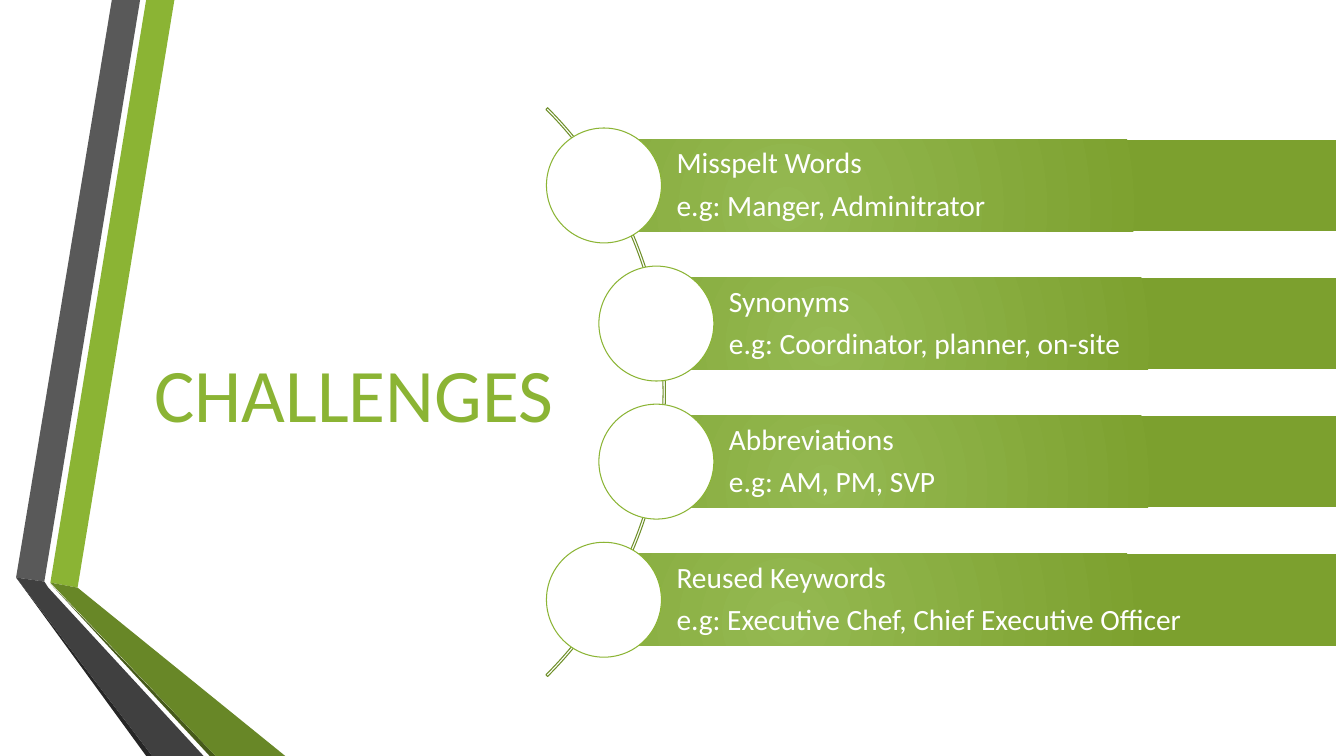
from lxml import etree
from pptx import Presentation
from pptx.dml.color import RGBColor
from pptx.enum.shapes import MSO_SHAPE
from pptx.enum.text import MSO_ANCHOR, PP_ALIGN
from pptx.oxml.ns import qn
from pptx.util import Inches, Pt

FONT = "Calibri"
GREEN, WHITE = "8BB434", "FFFFFF"
ARC_LINE = "6F902A"
BAR_CENTRE, BAR_EDGE = "94B951", "7CA02E"

TITLE = "CHALLENGES"
# circle left, heading, example
CHALLENGES = [
    (5.42, "Misspelt Words", "e.g: Manger, Adminitrator"),
    (5.94, "Synonyms", "e.g: Coordinator, planner, on-site"),
    (5.94, "Abbreviations", "e.g: AM, PM, SVP"),
    (5.42, "Reused Keywords", "e.g: Executive Chef, Chief Executive Officer"),
]
# colour, corner points
RIBBONS = [
    (GREEN, [(0.5, 5.78), (0.77, 5.83), (1.73, 0), (1.45, 0)]),
    ("595959", [(1.39, 0), (1.11, 0), (0.16, 5.73), (0.44, 5.77)]),
    ("262626", [(0.16, 5.73), (1.45, 7.5), (1.51, 7.5)]),
    ("465A1A", [(0.5, 5.79), (2.08, 7.5), (2.14, 7.5)]),
    ("688727", [(0.5, 5.78), (2.14, 7.5), (2.83, 7.5), (0.77, 5.83)]),
    ("404040", [(2.02, 7.5), (0.48, 5.83), (0.44, 5.77), (0.16, 5.73), (1.51, 7.5)]),
]

FIRST_CENTRE, PITCH = 1.84, 1.37
CIRCLE, BAR_HEIGHT, BAR_RIGHT = 1.14, 0.91, 13.25


def rgb(hex_colour):
    return RGBColor.from_string(hex_colour)


def style(sp, fill=None, line=None):
    """Set a plain fill and a thin line; None means there is none."""
    sp.shadow.inherit = False
    if fill:
        sp.fill.solid()
        sp.fill.fore_color.rgb = rgb(fill)
    else:
        sp.fill.background()
    if line:
        sp.line.color.rgb = rgb(line)
        sp.line.width = Pt(0.75)
    else:
        sp.line.fill.background()


def add_shape(s, kind, left, top, width, height):
    return s.shapes.add_shape(
        kind, Inches(left), Inches(top), Inches(width), Inches(height))


def add_ribbon(s, colour, points):
    corners = [(Inches(x), Inches(y)) for x, y in points]
    builder = s.shapes.build_freeform(*corners[0])
    builder.add_line_segments(corners[1:], close=True)
    style(builder.convert_to_shape(), colour)


def radial_fill(sp, centre, edge):
    """Fill with a circular gradient centred on the lower left."""
    sp.fill.gradient()
    for stop, colour in zip(sp.fill.gradient_stops, (centre, edge)):
        stop.color.rgb = rgb(colour)
    grad = sp.fill._xPr.find(qn("a:gradFill"))
    linear = grad.find(qn("a:lin"))
    path = etree.Element(qn("a:path"), {"path": "circle"})
    etree.SubElement(path, qn("a:fillToRect"),
                     {"l": "50000", "t": "100000", "r": "100000", "b": "50000"})
    grad.replace(linear, path)


def format_text(p, size, colour, align):
    p.alignment = align
    p.font.size = Pt(size)
    p.font.name = FONT
    p.font.color.rgb = rgb(colour)


def add_bar(s, left, centre, lines):
    bar = add_shape(s, MSO_SHAPE.RECTANGLE, left, centre - BAR_HEIGHT / 2,
                    BAR_RIGHT - left, BAR_HEIGHT)
    style(bar)
    radial_fill(bar, BAR_CENTRE, BAR_EDGE)
    tf = bar.text_frame
    tf.word_wrap = True
    tf.vertical_anchor = MSO_ANCHOR.MIDDLE
    tf.margin_left = Inches(0.72)
    tf.margin_top = tf.margin_right = tf.margin_bottom = Inches(0.06)
    tf.text = "\n".join(lines)
    for p in tf.paragraphs:
        p.line_spacing = 0.9
        p.space_after = Pt(7.35)
        format_text(p, 21, WHITE, PP_ALIGN.LEFT)


def main():
    prs = Presentation()
    prs.slide_width, prs.slide_height = Inches(13.33), Inches(7.5)
    s = prs.slides.add_slide(prs.slide_layouts[6])

    for colour, points in RIBBONS:
        add_ribbon(s, colour, points)

    arc = add_shape(s, MSO_SHAPE.BLOCK_ARC, -1.38, -0.1, 7.98, 7.98)
    for i, value in enumerate((189, 27, 0.003)):
        arc.adjustments[i] = value
    style(arc, line=ARC_LINE)

    for i, (left, *lines) in enumerate(CHALLENGES):
        centre = FIRST_CENTRE + i * PITCH
        add_bar(s, left + CIRCLE / 2, centre, lines)
        circle = add_shape(s, MSO_SHAPE.OVAL, left, centre - CIRCLE / 2, CIRCLE, CIRCLE)
        style(circle, WHITE, GREEN)

    title = s.shapes.add_textbox(Inches(1.05), Inches(3.39), Inches(4.92), Inches(1.01))
    tf = title.text_frame
    tf.word_wrap = True
    tf.text = TITLE
    format_text(tf.paragraphs[0], 54, GREEN, PP_ALIGN.CENTER)

    prs.save("out.pptx")


if __name__ == "__main__":
    main()
